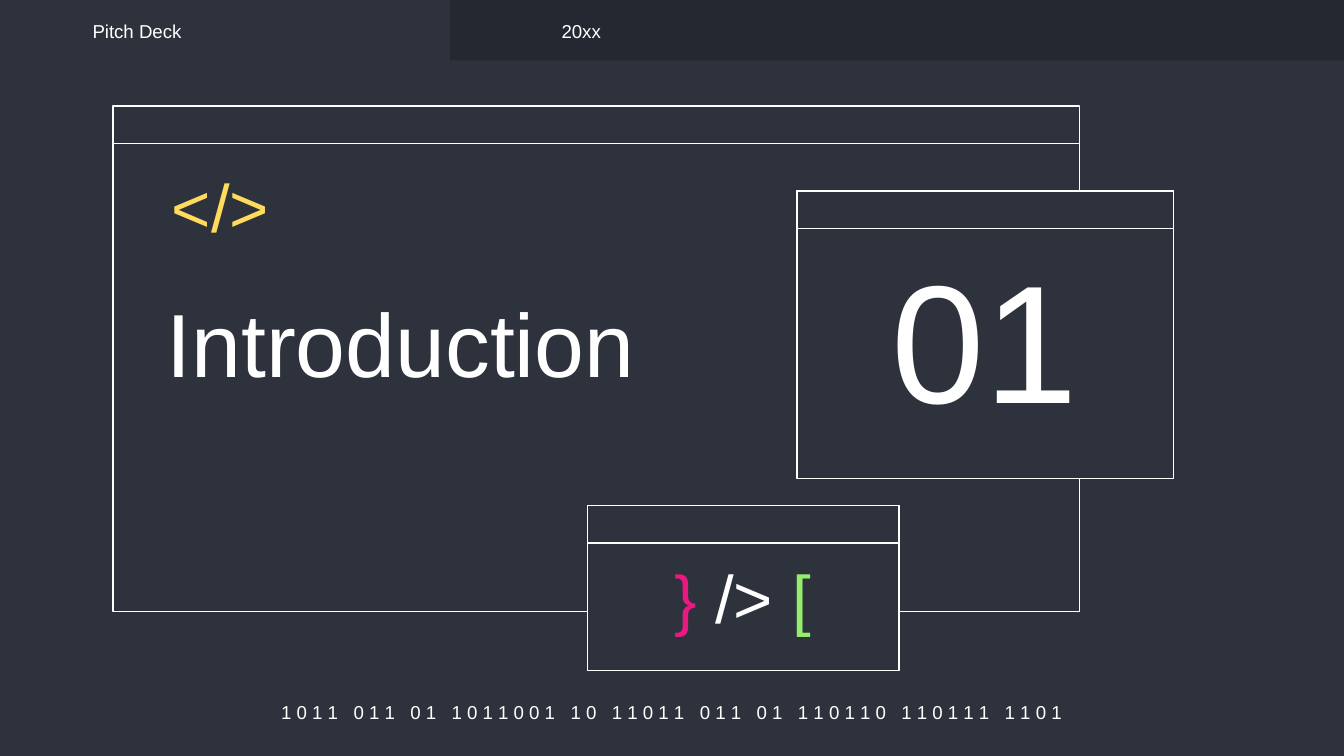
from pptx import Presentation
from pptx.dml.color import RGBColor
from pptx.enum.shapes import MSO_SHAPE
from pptx.enum.text import MSO_ANCHOR, MSO_AUTO_SIZE, PP_ALIGN
from pptx.util import Inches, Pt

THEME = {
    "font": "Arial",
    "inset": 0.1,
    "bar": 0.28,
    "line": 0.75,
    "colors": {"background": "2D323C", "band": "242830", "white": "FFFFFF",
               "yellow": "FFDB5D", "pink": "E81981", "green": "94EE6B"},
    "sizes": {"small": 10, "symbol": 36, "title": 48, "number": 90},
}

SLIDE_WIDTH = Inches(10)
SLIDE_HEIGHT = SLIDE_WIDTH * 9 // 16

BINARY_WORDS = "1011 011 01 1011001 10 11011 011 01 110110 110111 1101".split()
BINARY_LINE = "   ".join(" ".join(word) for word in BINARY_WORDS) + " "

HEADER_BAND = (3.35, 0, 6.65, 0.45)

# left, top, width, height, from back to front
WINDOWS = [
    (0.84, 0.79, 7.19, 3.76),
    (4.37, 3.76, 2.32, 1.23),
    (5.93, 1.42, 2.8, 2.14),
]

TITLE = {"place": (1.14, 2.04, 4.31, 0.9), "size": "title",
         "spans": [("Introduction", "white")]}
NUMBER = {"place": (6.11, 1.7, 2.43, 1.65), "size": "number",
          "spans": [("01", "white")],
          "anchor": MSO_ANCHOR.BOTTOM, "align": PP_ALIGN.CENTER}

LABELS = [
    {"place": (0.38, 5.2, 9.27, 0.2), "size": "small",
     "spans": [(BINARY_LINE, "white")],
     "anchor": MSO_ANCHOR.MIDDLE, "align": PP_ALIGN.CENTER},
    {"place": (0.59, 0.13, 2.19, 0.2), "size": "small",
     "spans": [("Pitch Deck", "white")], "anchor": MSO_ANCHOR.MIDDLE},
    {"place": (4.08, 0.13, 2.19, 0.2), "size": "small",
     "spans": [("20xx", "white")], "anchor": MSO_ANCHOR.MIDDLE},
    {"place": (0.92, 1.2, 1.18, 0.62), "size": "symbol",
     "spans": [("</>", "yellow")],
     "align": PP_ALIGN.RIGHT, "spacing": 0.9},
    {"place": (4.86, 4.11, 1.33, 0.82), "size": "symbol",
     "spans": [("}", "pink"), (" /> ", "white"), ("[", "green")],
     "align": PP_ALIGN.CENTER, "spacing": 0.9},
]


def color(name):
    return RGBColor.from_string(THEME["colors"][name])


def set_all(target, values):
    for name, value in values.items():
        setattr(target, name, value)


def add_rectangle(page, place, fill, outline=None):
    box = page.shapes.add_shape(MSO_SHAPE.RECTANGLE, *map(Inches, place))
    box.shadow.inherit = False
    box.fill.solid()
    box.fill.fore_color.rgb = color(fill)
    if outline:
        box.line.color.rgb = color(outline)
        box.line.width = Pt(THEME["line"])
    else:
        box.line.fill.background()


def add_window(page, place):
    """Draw a window frame with its title bar on top."""
    left, top, width, height = place
    for part_height in (height, THEME["bar"]):
        add_rectangle(page, (left, top, width, part_height),
                      "background", "white")


def write(box, content):
    """Place a text-bearing shape and fill it with formatted spans."""
    set_all(box, dict(zip(("left", "top", "width", "height"),
                          map(Inches, content["place"]))))
    frame = box.text_frame
    sides = ("left", "top", "right", "bottom")
    set_all(frame, {f"margin_{side}": Inches(THEME["inset"]) for side in sides})
    set_all(frame, {"word_wrap": True, "auto_size": MSO_AUTO_SIZE.NONE,
                    "vertical_anchor": content.get("anchor", MSO_ANCHOR.TOP)})
    para = frame.paragraphs[0]
    set_all(para, {"alignment": content.get("align", PP_ALIGN.LEFT),
                   "line_spacing": content.get("spacing", 1.0),
                   "space_before": Pt(0)})
    for text, color_name in content["spans"]:
        span = para.add_run()
        span.text = text
        set_all(span.font, {"name": THEME["font"],
                            "size": Pt(THEME["sizes"][content["size"]])})
        span.font.color.rgb = color(color_name)


def main():
    deck = Presentation()
    set_all(deck, {"slide_width": SLIDE_WIDTH, "slide_height": SLIDE_HEIGHT})
    title_layout = deck.slide_layouts[0]
    page = deck.slides.add_slide(title_layout)
    page.background.fill.solid()
    page.background.fill.fore_color.rgb = color("background")

    add_rectangle(page, HEADER_BAND, "band")
    for place in WINDOWS:
        add_window(page, place)

    for box, content in zip(list(page.placeholders), (TITLE, NUMBER)):
        page.shapes.element.append(box.element)  # bring in front of the windows
        write(box, content)

    for content in LABELS:
        box = page.shapes.add_textbox(*map(Inches, content["place"]))
        write(box, content)

    deck.save("out.pptx")


if __name__ == "__main__":
    main()
